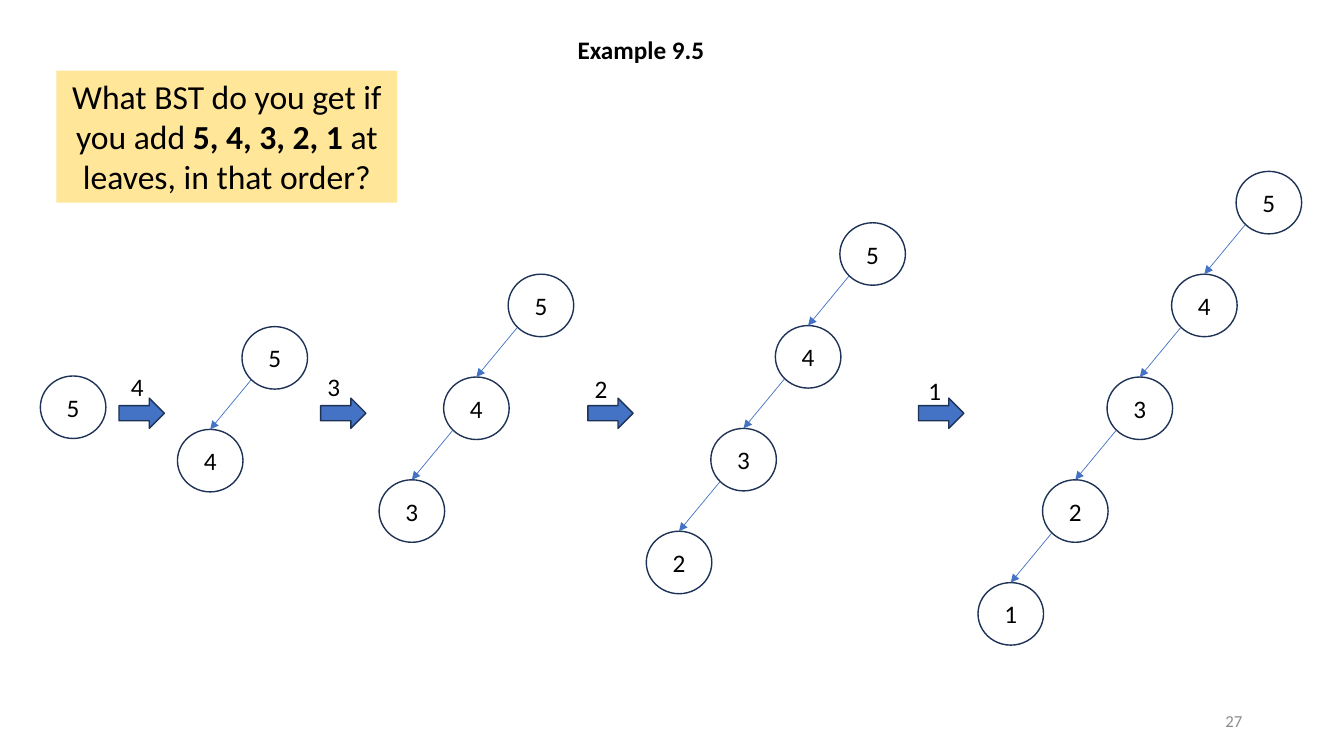
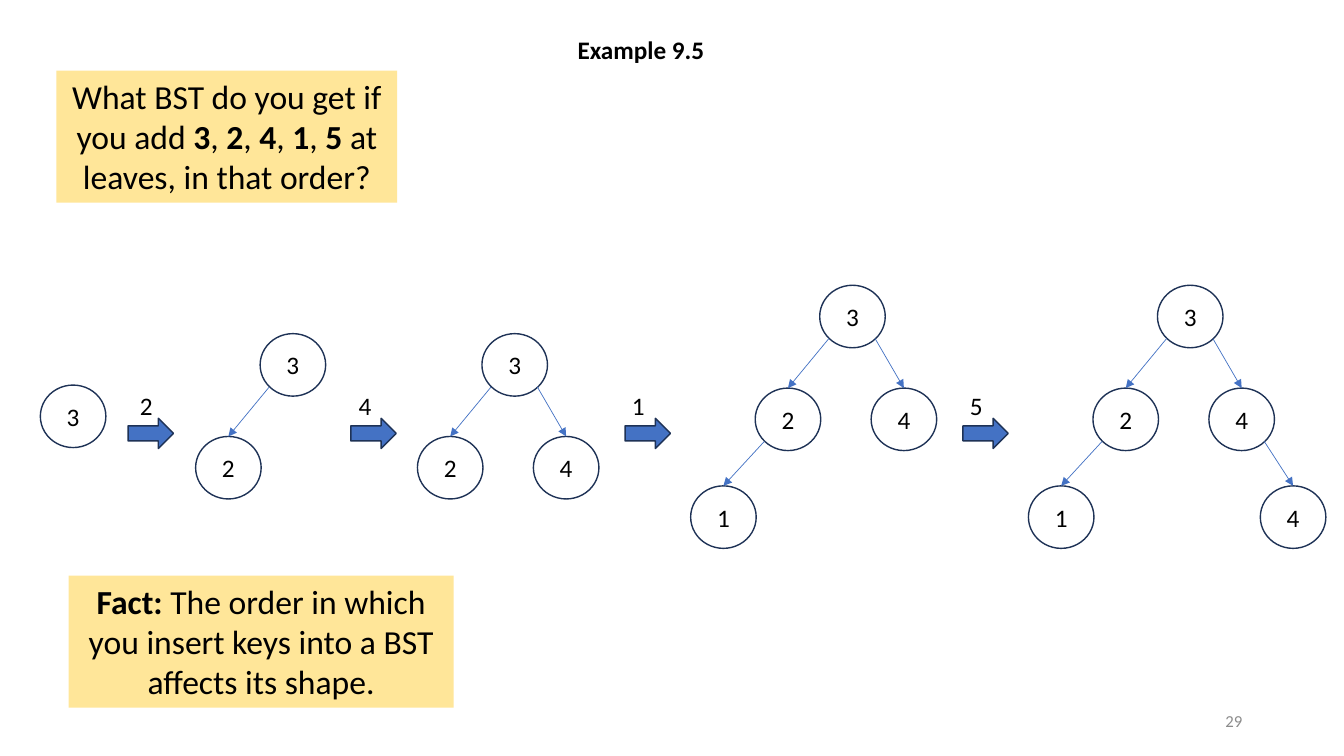
"""Two slides showing how insertion order shapes a binary search tree."""
from lxml import etree
from pptx import Presentation
from pptx.dml.color import RGBColor
from pptx.enum.shapes import MSO_CONNECTOR, MSO_SHAPE
from pptx.enum.text import MSO_ANCHOR, PP_ALIGN
from pptx.oxml.ns import qn
from pptx.util import Inches, Pt

ELLIPSE, ARROW, RECT = MSO_SHAPE.OVAL, MSO_SHAPE.RIGHT_ARROW, MSO_SHAPE.RECTANGLE
STRAIGHT = MSO_CONNECTOR.STRAIGHT
LEFT, CENTER, RIGHT = PP_ALIGN.LEFT, PP_ALIGN.CENTER, PP_ALIGN.RIGHT
TOP, MIDDLE = MSO_ANCHOR.TOP, MSO_ANCHOR.MIDDLE

COLORS = {"text": "000000", "number": "8C8C8C", "outline": "1E3256",
          "accent": "4472C4", "callout": "FFE699"}
FONT = "Calibri"
TITLE = "Example 9.5"
TITLE_BOX = (5.63, 0.29, 1.47, 0.4)
NUMBER_BOX = (9.42, 6.95, 3, 0.4)
QUESTION_BOX = (0.56, 0.7, 3.38, 1.31)
FACT_BOX = (0.68, 5.71, 3.82, 1.31)
ARROW_SIZE = (0.45, 0.3)
LABEL_SIZE = (0.33, 0.4)
NODE_W, NODE_H = 0.65, 0.62
SIDE_STEP = {"L": -0.64, "R": 0.51}
EDGE_START = {"L": 0.09, "R": 0.55}
EDGE_DROP = 0.53

ASK, ORDER = "What BST do you get if you add ", "at leaves, in that order?"

# SLIDES
SLIDES = [
    {
        "number": "27",
        "callouts": [(QUESTION_BOX, [(ASK, False), ("5, 4, 3, 2, 1 ", True), (ORDER, False)])],
        "drops": (1.02, 1.02, 1.02, 1.02),
        "arrow_top": 3.95,
        "insertions": [("4", 1.18, 1.2, 3.63), ("3", 3.18, 3.15, 3.63),
                       ("2", 5.83, 5.8, 3.65), ("1", 9.11, 9.11, 3.67)],
        "trees": [
            ((0.4, 3.73), {"": "5"}),
            ((2.4, 3.24), {"": "5", "L": "4"}),
            ((5.04, 2.72), {"": "5", "L": "4", "LL": "3"}),
            ((8.33, 2.21), {"": "5", "L": "4", "LL": "3", "LLL": "2"}),
            ((12.26, 1.7), {"": "5", "L": "4", "LL": "3", "LLL": "2", "LLLL": "1"}),
        ],
    },
    {
        "number": "29",
        "callouts": [
            (QUESTION_BOX, [(ASK, False), ("3", True), (", ", False), ("2", True),
                            (", ", False), ("4", True), (", ", False), ("1", True),
                            (", ", False), ("5 ", True), (ORDER, False)]),
            (FACT_BOX, [("Fact:", True), (" The order in which you insert keys "
                                          "into a BST affects its shape.", False)]),
        ],
        "drops": (1.02, 0.97),
        "arrow_top": 4.15,
        "insertions": [("2", 1.27, 1.29, 3.82), ("4", 3.48, 3.46, 3.82),
                       ("1", 6.2, 6.17, 3.82), ("5", 9.55, 9.52, 3.82)],
        "trees": [
            ((0.4, 3.82), {"": "3"}),
            ((2.58, 3.31), {"": "3", "L": "2"}),
            ((4.78, 3.31), {"": "3", "L": "2", "R": "4"}),
            ((8.13, 2.83), {"": "3", "L": "2", "R": "4", "LL": "1"}),
            ((11.48, 2.83), {"": "3", "L": "2", "R": "4", "LL": "1", "RR": "4"}),
        ],
    },
]


def rgb(name):
    return RGBColor.from_string(COLORS[name])


def inches(values):
    return [Inches(value) for value in values]


def write(frame, runs, size, align=LEFT, color="text", anchor=TOP, wrap=True):
    frame.word_wrap = wrap
    frame.vertical_anchor = anchor
    paragraph = frame.paragraphs[0]
    paragraph.alignment = align
    paragraph.font.name = FONT
    paragraph.font.size = Pt(size)
    paragraph.font.color.rgb = rgb(color)
    for words, bold in runs:
        run = paragraph.add_run()
        run.text = words
        run.font.bold = bold


def add_text(slide, box, runs, size, **style):
    write(slide.shapes.add_textbox(*inches(box)).text_frame, runs, size, **style)


def add_figure(slide, preset, box, fill=None, outline=None):
    figure = slide.shapes.add_shape(preset, *inches(box))
    figure.shadow.inherit = False
    if fill:
        figure.fill.solid()
        figure.fill.fore_color.rgb = rgb(fill)
    else:
        figure.fill.background()
    if outline:
        figure.line.color.rgb = rgb(outline)
        figure.line.width = Pt(1)
    else:
        figure.line.fill.background()
    return figure


def add_node(slide, left, top, key):
    node = add_figure(slide, ELLIPSE, (left, top, NODE_W, NODE_H), outline="outline")
    frame = node.text_frame
    frame.margin_left = frame.margin_right = frame.margin_top = frame.margin_bottom = 0
    write(frame, [(key, False)], 18, align=CENTER, anchor=MIDDLE)
    return node


def add_edge(slide, start, child):
    edge = slide.shapes.add_connector(STRAIGHT, *inches(start), child.left, child.top)
    edge.end_connect(child, 0)
    edge.line.color.rgb = rgb("accent")
    edge.line.width = Pt(0.5)
    etree.SubElement(edge.line._get_or_add_ln(), qn("a:tailEnd"), type="triangle")
    etree.SubElement(edge._element.spPr, qn("a:effectLst"))


def add_tree(slide, root, keys, drops):
    places = {"": root}
    for route, key in keys.items():
        if route:
            parent_left, parent_top = places[route[:-1]]
            side = route[-1]
            places[route] = (parent_left + SIDE_STEP[side],
                             parent_top + drops[len(route) - 1])
        node = add_node(slide, *places[route], key)
        if route:
            add_edge(slide, (parent_left + EDGE_START[side], parent_top + EDGE_DROP), node)


def add_slide(deck, content):
    slide = deck.slides.add_slide(deck.slide_layouts[6])
    add_text(slide, NUMBER_BOX, [(content["number"], False)], 12,
             align=RIGHT, color="number", anchor=MIDDLE)
    add_text(slide, TITLE_BOX, [(TITLE, True)], 18, wrap=False)
    for root, keys in content["trees"]:
        add_tree(slide, root, keys, content["drops"])
    for key, arrow_left, label_left, label_top in content["insertions"]:
        add_figure(slide, ARROW, (arrow_left, content["arrow_top"], *ARROW_SIZE),
                   "accent", "outline")
        add_text(slide, (label_left, label_top, *LABEL_SIZE), [(key, False)], 18, wrap=False)
    for box, runs in content["callouts"]:
        callout = add_figure(slide, RECT, box, "callout")
        write(callout.text_frame, runs, 24, align=CENTER)


def main():
    deck = Presentation()
    deck.slide_width, deck.slide_height = inches((13.33, 7.5))
    for content in SLIDES:
        add_slide(deck, content)
    deck.save("out.pptx")


if __name__ == "__main__":
    main()
